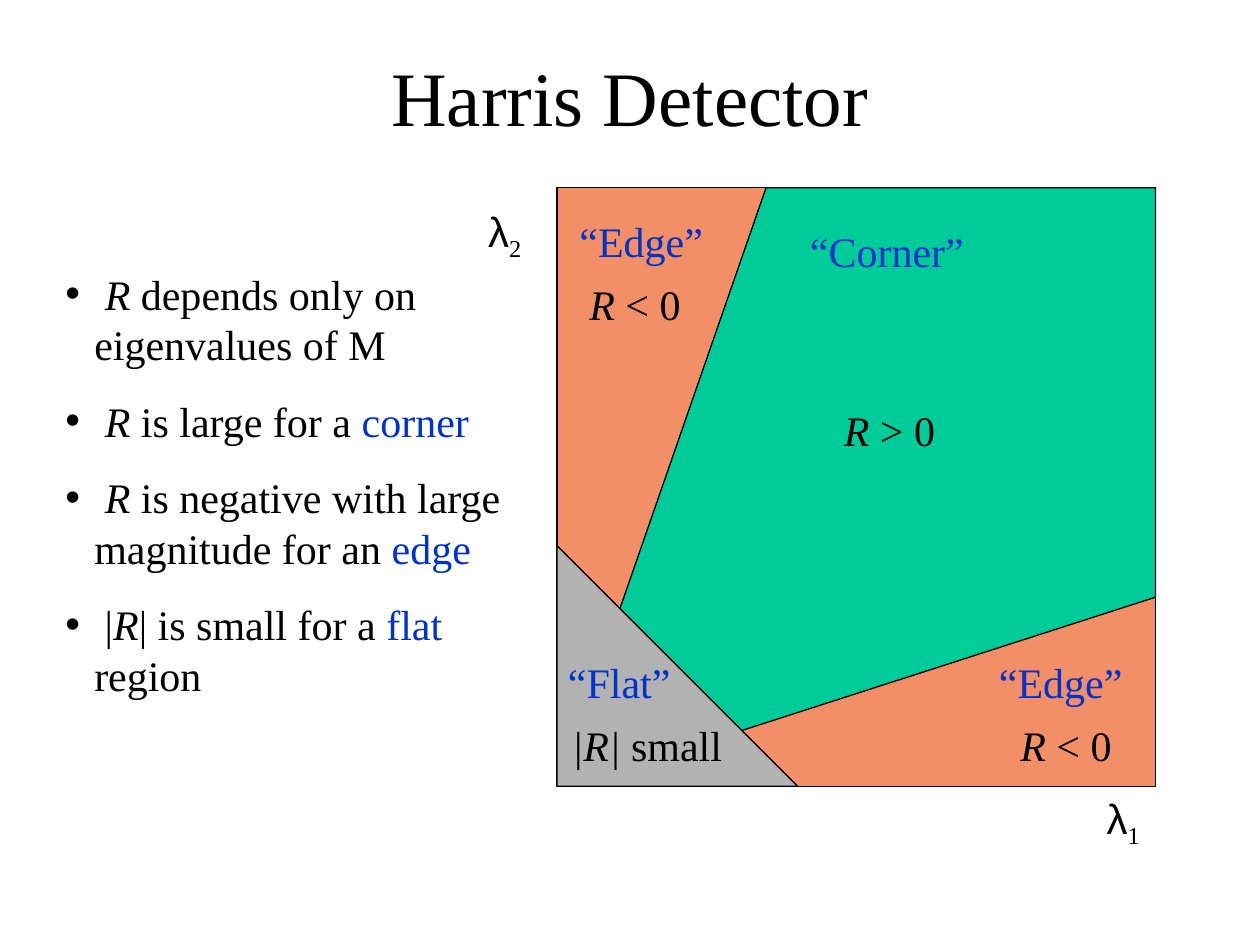
from lxml import etree
from pptx import Presentation
from pptx.dml.color import RGBColor
from pptx.enum.shapes import MSO_SHAPE as SHAPE
from pptx.enum.text import MSO_ANCHOR as ANCHOR, MSO_AUTO_SIZE as AUTO, PP_ALIGN as ALIGN
from pptx.oxml.ns import qn
from pptx.util import Inches, Pt

COLORS = {"black": "000000", "blue": "0033CC", "edge": "F38F67",
          "corner": "00CC99", "flat": "B2B2B2"}
SERIF, SANS = "Times New Roman", "Arial"
ITALIC, BLUE = {"italic": True}, {"color": "blue"}


def rgb(name):
    return RGBColor.from_string(COLORS[name])


def add_run(p, text, size=24, font=SERIF, color="black", italic=False, baseline=None):
    r = p.add_run()
    r.text = text
    r.font.size, r.font.name, r.font.italic = Pt(size), font, italic
    r.font.color.rgb = rgb(color)
    if baseline:
        r.font._element.set("baseline", str(baseline * 1000))


def add_text(s, box, paragraphs, align=ALIGN.LEFT, wrap=True, anchor=ANCHOR.TOP,
             auto=AUTO.SHAPE_TO_FIT_TEXT, bullet_indent=0, gap=0):
    tf = s.shapes.add_textbox(*map(Inches, box)).text_frame
    tf.word_wrap, tf.vertical_anchor, tf.auto_size = wrap, anchor, auto
    for i, runs in enumerate(paragraphs):
        p = tf.paragraphs[0] if i == 0 else tf.add_paragraph()
        p.alignment = align
        if bullet_indent:
            pPr = p._p.get_or_add_pPr()
            pPr.set("marL", str(Inches(bullet_indent)))
            pPr.set("indent", str(-Inches(bullet_indent)))
            etree.SubElement(pPr, qn("a:buFont")).set("typeface", SANS)
            etree.SubElement(pPr, qn("a:buChar")).set("char", "•")
        if gap:
            p.space_before = Pt(gap if i else 0)
        for text, style in runs:
            add_run(p, text, **style)


def paint(sp, color):
    sp.shadow.inherit = False
    sp.fill.solid()
    sp.fill.fore_color.rgb = rgb(color)
    sp.line.color.rgb = rgb("black")
    sp.line.width = Pt(0.75)


def add_title(s, box):
    add_text(s, box, [[("Harris Detector", {"size": 44})]], align=ALIGN.CENTER,
             anchor=ANCHOR.MIDDLE, auto=AUTO.NONE)


def add_bullets(s, box):
    items = [
        (" ", " depends only on eigenvalues of M", "", ""),
        (" ", " is large for a ", "corner", ""),
        (" ", " is negative with large magnitude for an ", "edge", ""),
        (" |", "| is small for a ", "flat", " region"),
    ]
    paragraphs = []
    for lead, statement, keyword, tail in items:
        runs = [(lead, {}), ("R", ITALIC), (statement, {}), (keyword, BLUE), (tail, {})]
        paragraphs.append([run for run in runs if run[0]])
    add_text(s, box, paragraphs, bullet_indent=0.23, gap=15)


def add_regions(s, x, y, side):
    paint(s.shapes.add_shape(SHAPE.RECTANGLE, *map(Inches, (x, y, side, side))), "edge")

    corner = [(0.5, 3.34), (1.66, 0), (side, 0), (side, 3.25), (1.46, 4.31)]
    points = [(Inches(x + dx), Inches(y + dy)) for dx, dy in corner]
    builder = s.shapes.build_freeform(*points[0])
    builder.add_line_segments(points[1:], close=True)
    paint(builder.convert_to_shape(), "corner")

    leg = 1.91
    flat = (x, y + side - leg, leg, leg)
    paint(s.shapes.add_shape(SHAPE.RIGHT_TRIANGLE, *map(Inches, flat)), "flat")


def add_region_labels(s, x, y):
    names = [("“Corner”", 1.91, 0.25, 2.92, ALIGN.LEFT),
             ("“Edge”", 3.41, 3.67, 1.42, ALIGN.LEFT),
             ("“Edge”", 0.08, 0.17, 1.42, ALIGN.LEFT),
             ("“Flat”", -0.17, 3.67, 1.33, ALIGN.CENTER)]
    for name, dx, dy, w, align in names:
        add_text(s, (x + dx, y + dy, w, 0.5), [[(name, BLUE)]], align=align)

    responses = [("R", " > 0", 2.16, 1.67, 0.96),
                 ("R", " < 0", 0.14, 0.67, 0.96),
                 ("R", " < 0", 3.56, 4.17, 0.96),
                 ("|R|", " small", 0, 4.17, 1.43)]
    for symbol, value, dx, dy, w in responses:
        add_text(s, (x + dx, y + dy, w, 0.5), [[(symbol, ITALIC), (value, {})]],
                 align=ALIGN.CENTER, wrap=False)


def add_axis_labels(s, x, y, side):
    for index, dx, dy, w in [("1", 4.08, side, 0.83), ("2", -1, 0.09, 1.17)]:
        add_text(s, (x + dx, y + dy, w, 0.56),
                 [[("λ", {"font": SANS}), (index, {"baseline": -25})]], align=ALIGN.CENTER)


def add_diagram(s, x, y, side):
    add_regions(s, x, y, side)
    add_axis_labels(s, x, y, side)
    add_region_labels(s, x, y)


def main():
    prs = Presentation()
    prs.slide_width, prs.slide_height = Inches(10), Inches(7.5)
    s = prs.slides.add_slide(prs.slide_layouts[6])
    add_title(s, (0.75, 0.24, 8.5, 1.04))
    add_diagram(s, 4.42, 1.49, 4.75)
    add_bullets(s, (0.42, 2.08, 3.83, 3.53))
    prs.save("out.pptx")


if __name__ == "__main__":
    main()
